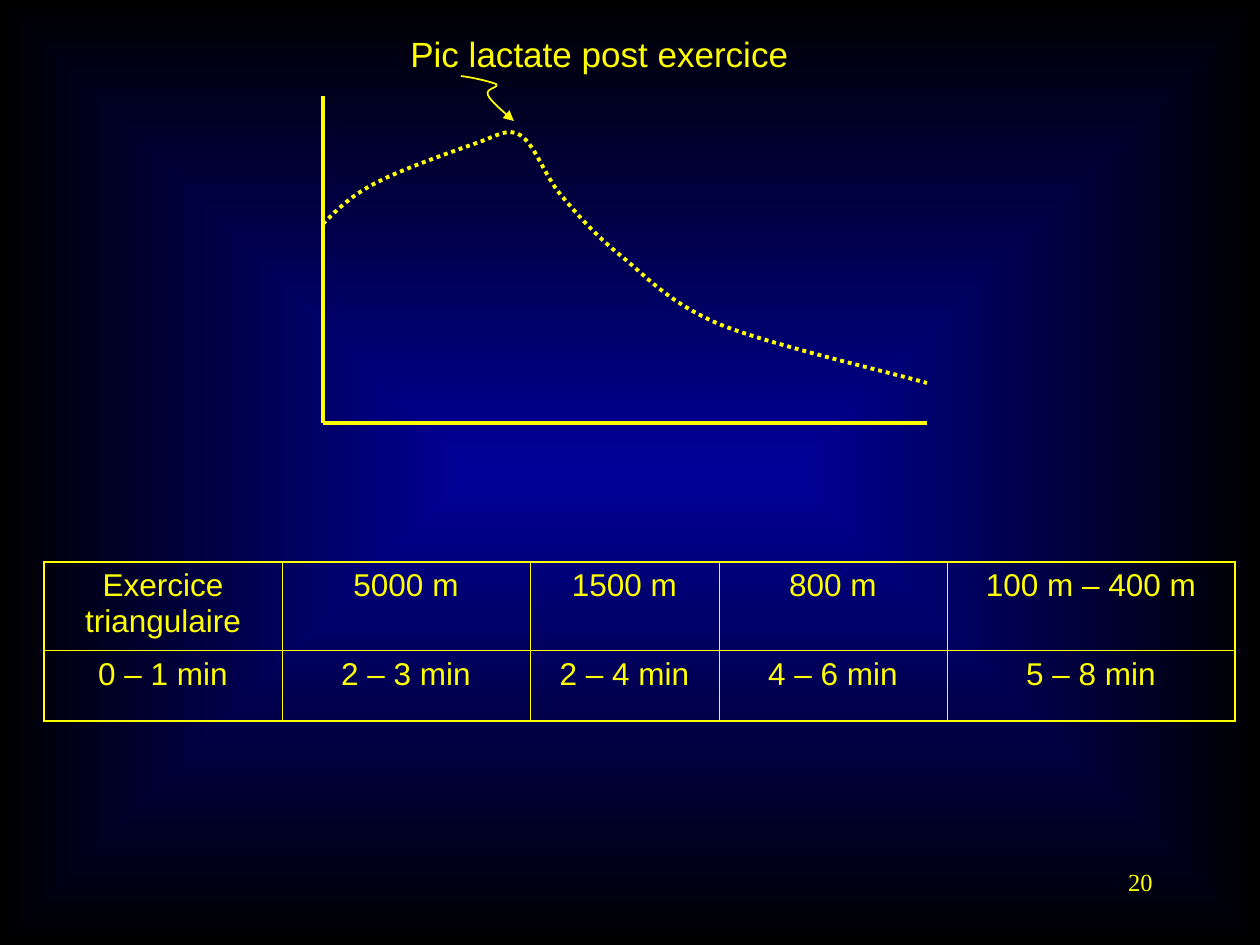
from lxml.etree import SubElement
from pptx import Presentation
from pptx.dml.color import RGBColor as Rgb
from pptx.enum.dml import MSO_LINE as Dash
from pptx.enum.shapes import MSO_CONNECTOR as Conn
from pptx.enum.text import MSO_AUTO_SIZE as Auto, PP_ALIGN as Align
from pptx.oxml import parse_xml
from pptx.oxml.ns import nsdecls, qn
from pptx.util import Pt

SCALE = 914400 / 126
COLORS = {"ink": "FFFF00", "center": "000099", "edge": "000000"}


def px(n):
    return round(n * SCALE)


def color(name):
    return Rgb.from_string(COLORS[name])


def write(tf, text, font="Arial", size=18, ink="ink", align=Align.LEFT):
    p = tf.paragraphs[0]
    p.alignment = align
    r = p.add_run()
    r.text = text
    r.font.name = font
    r.font.size = Pt(size)
    r.font.color.rgb = color(ink)


class Slide:
    def __init__(self, prs, ink="ink"):
        self.s = prs.slides.add_slide(prs.slide_layouts[6])
        self.ink = ink

    def background(self, center, edge):
        fill = self.s.background.fill
        fill.gradient()
        for stop, name, position in zip(fill.gradient_stops, (center, edge), (0, 1)):
            stop.color.rgb = color(name)
            stop.position = position
        grad = next(self.s._element.iter(qn("a:gradFill")))
        grad.remove(grad.find(qn("a:lin")))
        shade = SubElement(grad, qn("a:path"), path="rect")
        SubElement(shade, qn("a:fillToRect"), l="50000", t="50000", r="50000", b="50000")

    def stroke(self, sp, width):
        sp.line.color.rgb = color(self.ink)
        sp.line.width = Pt(width)

    def axis(self, x1, y1, x2, y2, width=2.25):
        c = self.s.shapes.add_connector(Conn.STRAIGHT, px(x1), px(y1), px(x2), px(y2))
        self.stroke(c, width)
        SubElement(c._element.spPr, qn("a:effectLst"))

    def curve(self, points, width, dash=None, arrow=False):
        fb = self.s.shapes.build_freeform(*points[0], scale=SCALE)
        fb.add_line_segments(points[1:], close=False)
        sp = fb.convert_to_shape()
        sp.shadow.inherit = False
        sp.fill.background()
        self.stroke(sp, width)
        if dash:
            sp.line.dash_style = dash
        if arrow:
            SubElement(sp.line._get_or_add_ln(), qn("a:tailEnd"), type="triangle")
        segments = list(sp._element.iter(qn("a:lnTo")))
        for i in range(0, len(segments), 3):
            bezier = SubElement(segments[i].getparent(), qn("a:cubicBezTo"))
            for segment in segments[i:i + 3]:
                bezier.append(segment[0])
                segment.getparent().remove(segment)

    def text(self, text, x, y, w, h, wrap=True, **fmt):
        tf = self.s.shapes.add_textbox(px(x), px(y), px(w), px(h)).text_frame
        tf.word_wrap = wrap
        if not wrap:
            tf.auto_size = Auto.SHAPE_TO_FIT_TEXT
        write(tf, text, ink=self.ink, **fmt)

    def table(self, rows, x, y, widths, heights, outer=1.08, inner=0.45):
        t = self.s.shapes.add_table(len(rows), len(widths), px(x), px(y),
                                    px(sum(widths)), px(sum(heights))).table
        t.first_row = t.horz_banding = False
        for col, w in zip(t.columns, widths):
            col.width = px(w)
        for row, h in zip(t.rows, heights):
            row.height = px(h)
        for i, row in enumerate(rows):
            for j, text in enumerate(row):
                cell = t.cell(i, j)
                cell.fill.background()
                write(cell.text_frame, text, ink=self.ink, align=Align.CENTER)
                on_edge = {"L": j == 0, "R": j == len(widths) - 1,
                           "T": i == 0, "B": i == len(rows) - 1}
                for k, (side, edge) in enumerate(on_edge.items()):
                    self.border(cell, k, side, outer if edge else inner)

    def border(self, cell, index, side, width):
        cell._tc.get_or_add_tcPr().insert(index, parse_xml(
            f'<a:ln{side} {nsdecls("a")} w="{Pt(width)}"><a:solidFill>'
            f'<a:srgbClr val="{COLORS[self.ink]}"/></a:solidFill></a:ln{side}>'))


LACTATE = [
    (323, 224), (335, 212), (348, 198), (372, 185), (397, 171), (446, 154), (471, 145),
    (496, 137), (507, 127), (520, 135), (535, 144), (544, 175), (561, 195),
    (577, 214), (593, 233), (620, 255), (646, 276), (668, 302), (719, 324),
    (770, 345), (893, 373), (927, 383),
]
PEAK_ARROW = [
    (461, 76), (476, 78), (491, 82), (496, 84), (500, 88), (485, 88), (488, 95),
    (490, 100), (509, 117), (514, 121),
]
PEAK_TIMES = [
    ["Exercice triangulaire", "5000 m", "1500 m", "800 m", "100 m – 400 m"],
    ["0 – 1 min", "2 – 3 min", "2 – 4 min", "4 – 6 min", "5 – 8 min"],
]


def main():
    prs = Presentation()
    prs.slide_width, prs.slide_height = px(1260), px(945)
    slide = Slide(prs)
    slide.background("center", "edge")
    slide.text("20", 903, 861, 262, 63, font="Times New Roman", size=14, align=Align.RIGHT)
    slide.axis(323, 96, 323, 423)
    slide.axis(323, 423, 927, 423)
    slide.curve(LACTATE, 2.25, dash=Dash.ROUND_DOT)
    slide.text("Pic lactate post exercice", 398, 26, 403, 55, wrap=False, size=20)
    slide.curve(PEAK_ARROW, 1, arrow=True)
    slide.table(PEAK_TIMES, 44, 562, [238, 248, 189, 228, 288], [88, 71])
    prs.save("out.pptx")


if __name__ == "__main__":
    main()
